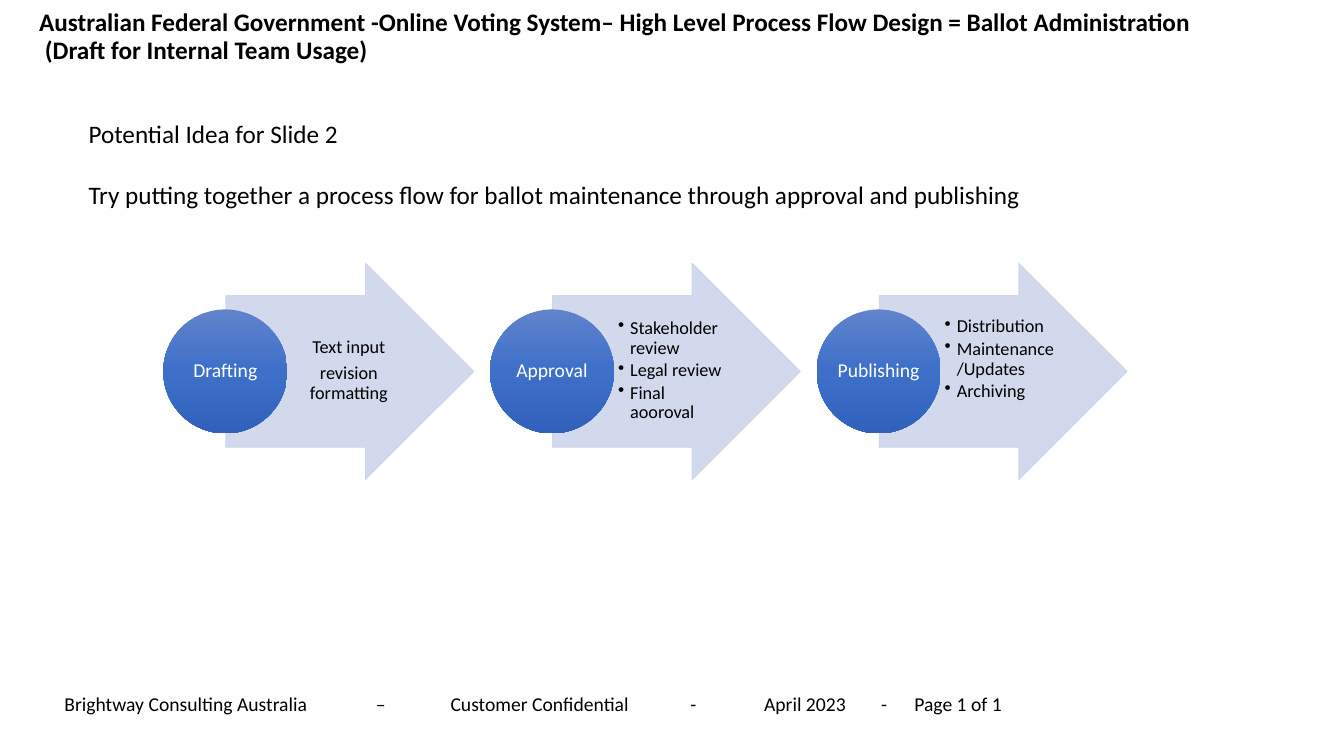
from copy import deepcopy
from dataclasses import dataclass

from lxml.etree import SubElement
from pptx import Presentation
from pptx.dml.color import RGBColor
from pptx.enum.shapes import MSO_SHAPE as Shape
from pptx.enum.text import MSO_ANCHOR as Anchor, PP_ALIGN as Align
from pptx.oxml.ns import qn
from pptx.util import Emu, Pt

EMU_PER_PX = 9144
FONT = "Calibri"
COLORS = {
    "text": "000000",
    "circle_text": "FFFFFF",
    "arrow": "CFD5EA",
    "circle_top": "6183CB",
    "circle_middle": "3E70CA",
    "circle_bottom": "3062BB",
}
FIRST_STAGE_LEFT, STAGE_PITCH = 162, 324


@dataclass
class Stage:
    name: str
    details: list[str]
    bulleted: bool = True
    bottom_inset: int = 1


STAGES = [
    Stage("Drafting", ["Text input", "revision formatting"], bulleted=False),
    Stage("Approval", ["Stakeholder review", "Legal review", "Final aooroval"]),
    Stage("Publishing", ["Distribution", "Maintenance /Updates", "Archiving"],
          bottom_inset=24),
]
FOOTER = ["Brightway Consulting Australia", "–", "Customer Confidential", "-",
          "April 2023", "-", "Page 1 of 1"]
FOOTER_TABS = [309, 383, 621, 694, 810, 843]


def px(n: int) -> Emu:
    return Emu(n * EMU_PER_PX)


def rgb(name: str) -> RGBColor:
    return RGBColor.from_string(COLORS[name])


def set_frame(tf, insets=(10, 5, 10, 5), anchor=Anchor.MIDDLE) -> None:
    """Set wrapping, anchor and insets (left, top, right, bottom)."""
    tf.word_wrap = True
    tf.vertical_anchor = anchor
    tf.margin_left, tf.margin_top, tf.margin_right, tf.margin_bottom = map(px, insets)


def add_frame(slide, left: int, top: int, width: int, height: int, **options):
    tf = slide.shapes.add_textbox(px(left), px(top), px(width), px(height)).text_frame
    set_frame(tf, **options)
    return tf


def add_run(p, text: str, size: int, color: str = "text", bold: bool = False) -> None:
    r = p.add_run()
    r.text = text
    r.font.name, r.font.size, r.font.bold = FONT, Pt(size), bold
    r.font.color.rgb = rgb(color)


def paragraphs(tf, count: int) -> list:
    return [tf.paragraphs[0], *(tf.add_paragraph() for _ in range(count - 1))]


def add_bullet(p) -> None:
    p_pr = p._p.get_or_add_pPr()
    p_pr.set("marL", str(px(12)))
    p_pr.set("indent", str(-px(12)))
    SubElement(p_pr, qn("a:buChar"), char="•")


def add_title(slide) -> None:
    p = add_frame(slide, 29, 8, 1187, 58).paragraphs[0]
    p.line_spacing = 0.9
    add_run(p, "Australian Federal Government -Online Voting System– "
               "High Level Process Flow Design = Ballot Administration", 18, bold=True)
    p.add_line_break()
    add_run(p, " (Draft for Internal Team Usage)", 18, bold=True)


def add_idea(slide) -> None:
    tf = add_frame(slide, 78, 112, 950, 101, anchor=Anchor.TOP)
    heading, task = paragraphs(tf, 2)
    add_run(heading, "Potential Idea for Slide 2", 18)
    task.space_before = Pt(22)
    add_run(task, "Try putting together a process flow for ballot maintenance "
                  "through approval and publishing", 18)


def add_footer(slide) -> None:
    p = add_frame(slide, 54, 671, 1187, 58).paragraphs[0]
    p.line_spacing = 0.9
    tabs = SubElement(p._p.get_or_add_pPr(), qn("a:tabLst"))
    for position in FOOTER_TABS:
        SubElement(tabs, qn("a:tab"), pos=str(px(position)), algn="l")
    add_run(p, "\t".join(FOOTER), 14)


def add_arrow(slide, left: int) -> None:
    sp = slide.shapes.add_shape(Shape.RIGHT_ARROW, px(left), px(261), px(246), px(215))
    sp.shadow.inherit = False
    sp.adjustments[0], sp.adjustments[1] = 0.7, 0.5
    sp.fill.solid()
    sp.fill.fore_color.rgb = rgb("arrow")
    sp.line.color.rgb = rgb("arrow")
    sp.line.width = Pt(0.5)
    for color in sp._element.spPr.iter(qn("a:srgbClr")):
        SubElement(color, qn("a:alpha"), val="90000")


def add_circle(slide, left: int, name: str) -> None:
    sp = slide.shapes.add_shape(Shape.OVAL, px(left), px(307), px(123), px(123))
    sp.shadow.inherit = False
    sp.line.fill.background()
    sp.fill.gradient()
    sp.fill.gradient_angle = 270
    stop_list = next(sp._element.spPr.iter(qn("a:gsLst")))
    stop_list.append(deepcopy(stop_list[0]))
    shades = ("circle_top", "circle_middle", "circle_bottom")
    for i, (stop, shade) in enumerate(zip(sp.fill.gradient_stops, shades)):
        stop.position = i / 2
        stop.color.rgb = rgb(shade)
    set_frame(sp.text_frame, insets=(1, 1, 1, 1))
    p = sp.text_frame.paragraphs[0]
    p.alignment = Align.CENTER
    p.line_spacing = 0.9
    add_run(p, name, 14, "circle_text")


def add_details(slide, left: int, stage: Stage) -> None:
    tf = add_frame(slide, left, 293, 120, 150, insets=(4, 1, 2, stage.bottom_inset))
    for p, detail in zip(paragraphs(tf, len(stage.details)), stage.details):
        p.line_spacing = 0.9
        p.space_after = Pt(2 if stage.bulleted else 4.5)
        if stage.bulleted:
            add_bullet(p)
        else:
            p.alignment = Align.CENTER
        add_run(p, detail, 13)


def add_stage(slide, left: int, stage: Stage) -> None:
    add_arrow(slide, left + 62)
    add_details(slide, left + 123, stage)
    add_circle(slide, left, stage.name)


def main() -> None:
    prs = Presentation()
    prs.slide_width, prs.slide_height = px(1333), px(750)
    slide = prs.slides.add_slide(prs.slide_layouts[6])
    add_title(slide)
    add_footer(slide)
    add_idea(slide)
    for i, stage in enumerate(STAGES):
        add_stage(slide, FIRST_STAGE_LEFT + i * STAGE_PITCH, stage)
    prs.save("out.pptx")


if __name__ == "__main__":
    main()
